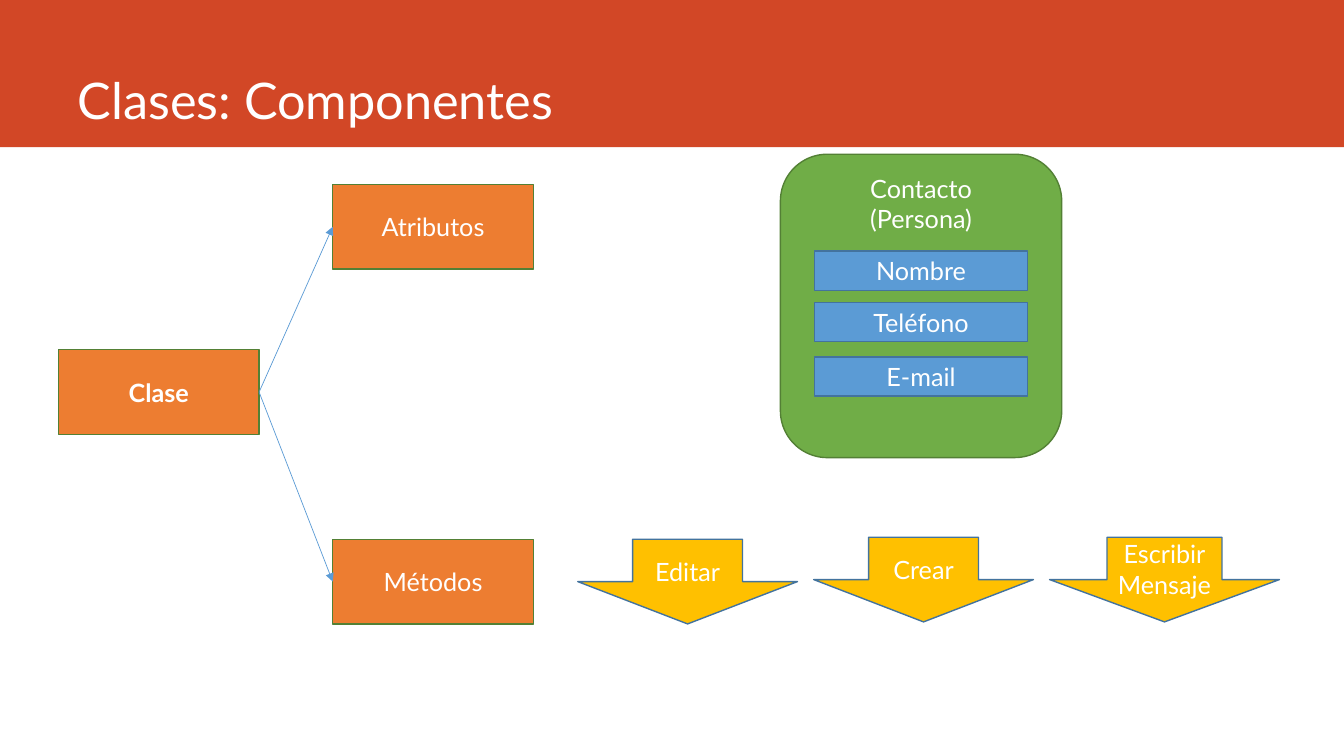
from lxml import etree
from pptx import Presentation
from pptx import util as u
from pptx.dml.color import RGBColor
from pptx.enum import shapes, text
from pptx.oxml.ns import qn

FRAME_FORMAT = {"word_wrap": True, "auto_size": text.MSO_AUTO_SIZE.NONE}
SHAPE = shapes.MSO_SHAPE
ANCHOR = text.MSO_ANCHOR
ALIGN = text.PP_ALIGN
ORANGE, GREEN, BLUE, YELLOW = "ED7D31", "70AD47", "5B9BD5", "FFC000"
GREEN_EDGE, BLUE_EDGE = "538035", "43739E"
BOX_SIZE = (1.99, 0.84)


def paint(color_format, color):
    color_format.rgb = RGBColor.from_string(color)


def set_values(target, values):
    for name, value in values.items():
        setattr(target, name, value)


def write_text(shape, lines, anchor=ANCHOR.MIDDLE, align=ALIGN.CENTER, size=18, bold=False):
    frame = shape.text_frame
    frame.text = lines
    set_values(frame, {**FRAME_FORMAT, "vertical_anchor": anchor})
    for paragraph in frame.paragraphs:
        paragraph.alignment = align
        set_values(paragraph.font, {"name": "Lato", "size": u.Pt(size), "bold": bold})
        paint(paragraph.font.color, "FFFFFF")


def add_block(slide, kind, place, fill, edge=None):
    shape = slide.shapes.add_shape(kind, *map(u.Inches, place))
    shape.shadow.inherit = False
    shape.fill.solid()
    paint(shape.fill.fore_color, fill)
    if edge:
        shape.line.width = u.Pt(1)
        paint(shape.line.color, edge)
    else:
        shape.line.fill.background()
    return shape


def add_class_box(slide, left, top, label, bold=False):
    box = add_block(slide, SHAPE.RECTANGLE, (left, top, *BOX_SIZE), ORANGE, GREEN_EDGE)
    write_text(box, label, bold=bold)
    return box


def add_arrow(slide, source, target):
    arrow = slide.shapes.add_connector(shapes.MSO_CONNECTOR.STRAIGHT, 0, 0, 0, 0)
    arrow.begin_connect(source, 3)
    arrow.end_connect(target, 1)
    arrow.line.width = u.Pt(0.5)
    paint(arrow.line.color, BLUE)
    etree.SubElement(arrow.line._get_or_add_ln(), qn("a:tailEnd"), type="triangle")
    etree.SubElement(arrow._element.spPr, qn("a:effectLst"))


def add_title(slide, label):
    banner = add_block(slide, SHAPE.RECTANGLE, (0, 0, 13.33, 1.46), "D24726")
    title = slide.shapes.title
    title._element.addprevious(banner._element)
    edges = map(u.Inches, (0.67, 0, 11.75, 1.34))
    set_values(title, dict(zip(("left", "top", "width", "height"), edges)))
    write_text(title, label, ANCHOR.BOTTOM, ALIGN.LEFT, 36)


def add_contact(slide):
    card = add_block(slide, SHAPE.ROUNDED_RECTANGLE, (7.74, 1.53, 2.79, 3.01), GREEN, GREEN_EDGE)
    write_text(card, "Contacto\n(Persona)", ANCHOR.TOP)
    for label, top in (("Nombre", 2.49), ("Teléfono", 3), ("E-mail", 3.54)):
        field = add_block(slide, SHAPE.RECTANGLE, (8.08, top, 2.11, 0.39), BLUE, BLUE_EDGE)
        write_text(field, label)


def add_methods(slide):
    methods = (
        ("Editar", 5.73, 5.35, 2.18),
        ("Crear", 8.07, 5.33, 2.18),
        ("Escribir\nMensaje", 10.41, 5.33, 2.28),
    )
    for label, left, top, width in methods:
        method = add_block(slide, SHAPE.DOWN_ARROW, (left, top, width, 0.84), YELLOW, BLUE_EDGE)
        write_text(method, label)


def main():
    presentation = Presentation()
    presentation.slide_width = u.Inches(13.33)
    presentation.slide_height = u.Inches(7.5)
    slide = presentation.slides.add_slide(presentation.slide_layouts[5])
    add_title(slide, "Clases: Componentes")
    class_box = add_class_box(slide, 0.58, 3.47, "Clase", bold=True)
    for label, top in (("Atributos", 1.83), ("Métodos", 5.35)):
        add_arrow(slide, class_box, add_class_box(slide, 3.3, top, label))
    add_contact(slide)
    add_methods(slide)
    presentation.save("out.pptx")


if __name__ == "__main__":
    main()
